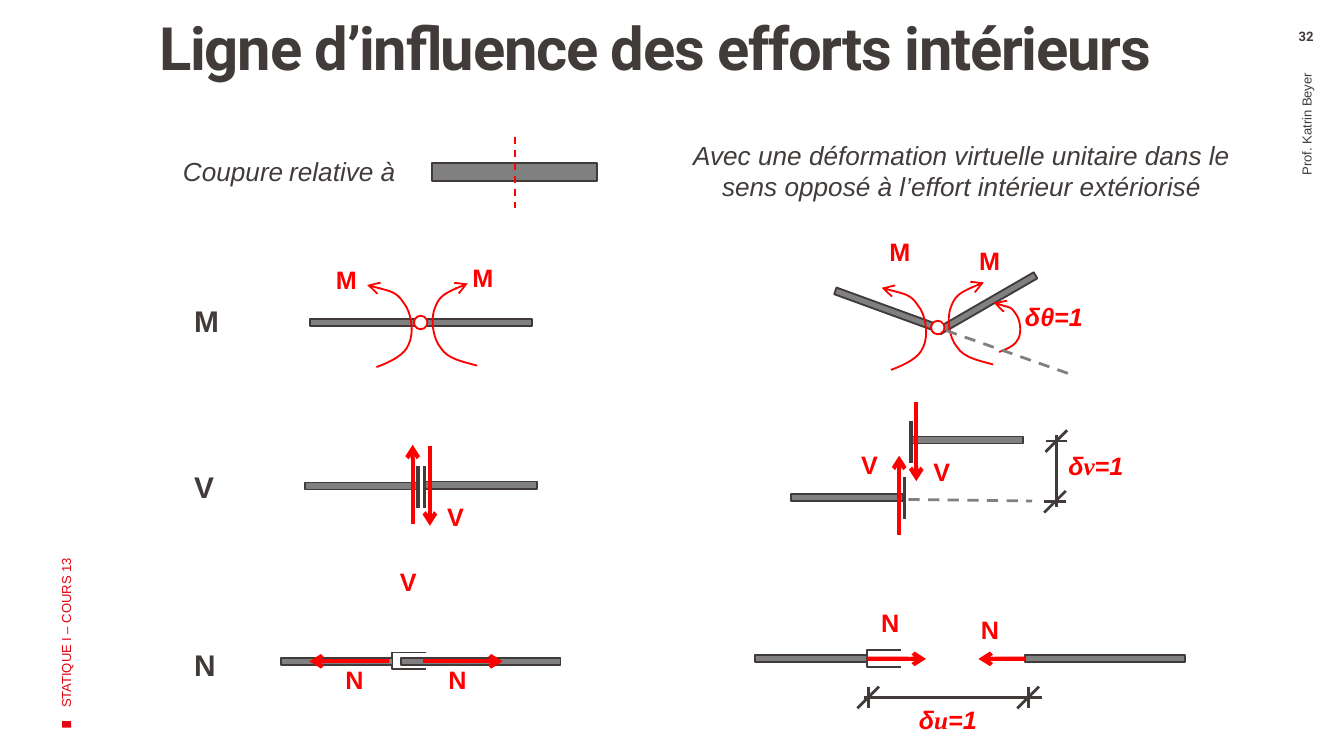
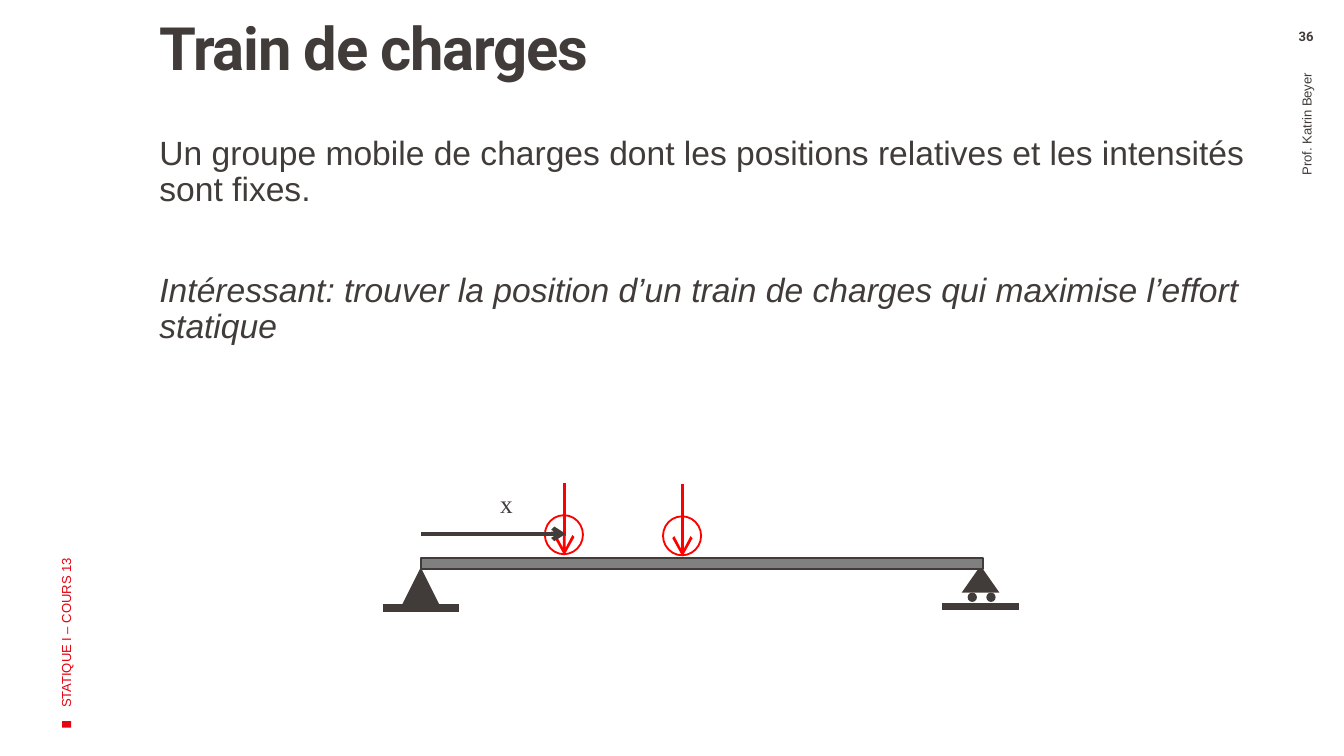
"""Build two statics slides: influence lines of internal forces and load trains."""
import dataclasses

import lxml.etree
import pptx
import pptx.dml.color
import pptx.enum.dml
import pptx.enum.shapes
import pptx.enum.text
import pptx.oxml.ns
import pptx.util

Pt = pptx.util.Pt
qn = pptx.oxml.ns.qn
SHAPE = pptx.enum.shapes.MSO_SHAPE
ALIGN = pptx.enum.text.PP_ALIGN
ANCHOR = pptx.enum.text.MSO_ANCHOR
FIT = pptx.enum.text.MSO_AUTO_SIZE


@dataclasses.dataclass(frozen=True)
class Theme:
    """Colours, fonts, type sizes and line widths shared by the slides."""
    ink: str = "413C3A"
    red: str = "FF0000"
    accent: str = "E30613"
    steel: str = "808080"
    white: str = "FFFFFF"
    body_font: str = "Arial"
    head_font: str = "Roboto"
    math_font: str = "Times New Roman"
    title: float = 32
    body: float = 18
    row: float = 16
    caption: float = 14
    gap: float = 11
    label: float = 13.5
    small: float = 7
    heavy: float = 2.25


THEME = Theme()
BAR = 59.8
THICK = 3.8
CURL = [(0, 0), (7.9, 2.2), (15.8, 3.6), (19.4, 9.4), (23.8, 14.4),
        (25.2, 25.9), (22.3, 31.7), (20.2, 37.4), (13, 41), (5, 44)]


def colour(code):
    """Return a colour object for a hex code."""
    return pptx.dml.color.RGBColor.from_string(code)


def assign(target, values):
    """Set each attribute named in values."""
    for name, value in values.items():
        setattr(target, name, value)


def bend(part):
    """Turn each three straight segments of a freeform into one cubic curve."""
    segments = list(part._element.iter(qn("a:lnTo")))
    outline = segments[0].getparent()
    for first in range(0, len(segments), 3):
        curve = lxml.etree.SubElement(outline, qn("a:cubicBezTo"))
        for segment in segments[first:first + 3]:
            curve.append(segment[0])
            outline.remove(segment)


@dataclasses.dataclass
class Box:
    """A region of a page that draws parts relative to its corner."""
    page: object
    left: float
    top: float

    def place(self, x, y):
        """Turn region points into slide lengths."""
        return Pt(self.left + x), Pt(self.top + y)

    def outline(self, part, code, width, arrow=None, dash=False):
        """Format the line of a shape or connector; arrow is the head size."""
        part.line.color.rgb = colour(code)
        part.line.width = Pt(width)
        if dash:
            part.line.dash_style = pptx.enum.dml.MSO_LINE.DASH
        if arrow:
            lxml.etree.SubElement(part.line._get_or_add_ln(), qn("a:tailEnd"),
                                  type="arrow", w=arrow, len=arrow)

    def shape(self, kind, x, y, width, height, fill=None, line=None, turn=0):
        """Add a preset shape."""
        part = self.page.shapes.add_shape(kind, *self.place(x, y), Pt(width), Pt(height))
        part.shadow.inherit = False
        part.rotation = turn
        if fill:
            part.fill.solid()
            part.fill.fore_color.rgb = colour(fill)
        else:
            part.fill.background()
        if line:
            self.outline(part, line, 1)
        else:
            part.line.fill.background()
        return part

    def bar(self, x, y, width=BAR, height=THICK, turn=0):
        """Add a grey beam piece."""
        return self.shape(SHAPE.RECTANGLE, x, y, width, height, THEME.steel, THEME.ink, turn)

    def hinge(self, x, y):
        """Add a hinge circle."""
        self.shape(SHAPE.OVAL, x, y, 7.2, 7.2, THEME.white, THEME.red)

    def line(self, start, end, code=THEME.ink, width=1.5, arrow=None, dash=False, joint=None):
        """Add a straight line, optionally joined to a shape at its start."""
        part = self.page.shapes.add_connector(
            pptx.enum.shapes.MSO_CONNECTOR.STRAIGHT, *self.place(*start), *self.place(*end))
        if joint:
            part.begin_connect(*joint)
        self.outline(part, code, width, arrow, dash)
        lxml.etree.SubElement(part._element.spPr, qn("a:effectLst"))

    def force(self, start, end, width=THEME.heavy, arrow="med", joint=None):
        """Add a red force arrow."""
        self.line(start, end, THEME.red, width, arrow, joint=joint)

    def stroke(self, points, code, arrow=None):
        """Add an open freeform through the points."""
        corners = [self.place(*point) for point in points]
        builder = self.page.shapes.build_freeform(*corners[0])
        builder.add_line_segments(corners[1:], close=False)
        part = builder.convert_to_shape()
        part.shadow.inherit = False
        part.fill.background()
        self.outline(part, code, 1, arrow)
        return part

    def curl(self, x, y, scale=1, turned=False):
        """Add a curved moment arrow with its tip at the top."""
        points = [(23.8 - a, 44 - b) for a, b in CURL] if turned else CURL[::-1]
        bend(self.stroke([(x + a * scale, y + b * scale) for a, b in points], THEME.red, "med"))

    def clamp(self, x, y):
        """Add the open sleeve of a sliding joint."""
        self.stroke([(x + 18.2, y), (x, y), (x, y + 9), (x + 18.2, y + 9)], THEME.ink)

    def tick(self, x, y, reach=(5.8, 0)):
        """Add the crossed end mark of a dimension line."""
        for dx, dy in (reach, (5.8, -5.8)):
            self.line((x - dx, y - dy), (x + dx, y + dy))

    def text(self, x, y, width, height, paragraphs, font, para_format=(), insets=(7.2, 3.6, 7.2, 3.6),
             turn=0, **frame_format):
        """Add a text box from paragraphs of (text, font changes) spans."""
        part = self.page.shapes.add_textbox(*self.place(x, y), Pt(width), Pt(height))
        part.rotation = turn
        frame = part.text_frame
        sides = ("margin_left", "margin_top", "margin_right", "margin_bottom")
        assign(frame, {"word_wrap": True, "auto_size": FIT.NONE, **frame_format})
        assign(frame, {side: Pt(inset) for side, inset in zip(sides, insets)})
        for index, spans in enumerate(paragraphs):
            para = frame.add_paragraph() if index else frame.paragraphs[0]
            assign(para, dict(para_format))
            if index:
                para.space_before = Pt(34.5)
            for words, changes in spans:
                span = para.add_run()
                span.text = words
                values = {"name": THEME.body_font, "code": THEME.ink, **font, **changes}
                span.font.color.rgb = colour(values.pop("code"))
                values["size"] = Pt(values["size"])
                assign(span.font, values)
        return frame

    def label(self, x, y, spans, width=28, font=None):
        """Add a short unwrapped label, red and bold by default."""
        if isinstance(spans, str):
            spans = [(spans, {})]
        font = font or {"size": THEME.label, "bold": True, "code": THEME.red}
        self.text(x, y, width, 28.8, [spans], font, word_wrap=False, auto_size=FIT.SHAPE_TO_FIT_TEXT)

    def unit(self, x, y, spans, width=51):
        """Add a unit displacement label."""
        self.label(x, y, [(words, {"italic": True, **more}) for words, more in spans], width)


def math_unit(letter):
    """Return the spans of a unit displacement with a serif letter."""
    return [("δ", {}), (letter, {"name": THEME.math_font}), ("=1", {})]


def frame_page(deck, title, number):
    """Add a page with title, side texts, marker and number."""
    page = deck.slides.add_slide(deck.slide_layouts[6])
    box = Box(page, 0, 0)
    small = {"size": THEME.small}
    box.shape(SHAPE.RECTANGLE, 33.3, 386.3, 4.8, 3.6, THEME.accent)
    heading = box.text(71, 10, 552.3, 84, [[(title, {})]],
                       {"name": THEME.head_font, "size": THEME.title, "bold": True},
                       {"line_spacing": 0.9}, (14.4, 0, 5.8, 3.6))
    heading.paragraphs[0].runs[0]._r.get_or_add_rPr().set("spc", "-70")
    box.text(-96.1, 218.9, 262.8, 72, [[("STATIQUE I – COURS 13", {})]], {**small, "code": THEME.accent},
             turn=270, vertical_anchor=ANCHOR.MIDDLE)
    box.text(560.6, 147.2, 278.6, 40.3, [[("Prof. Katrin Beyer", {})]], small, {"alignment": ALIGN.RIGHT},
             (7.2, 3.6, 11, 3.6), turn=270, vertical_anchor=ANCHOR.MIDDLE)
    box.text(679.6, 15, 40.3, 13, [[(number, {})]], {**small, "name": THEME.head_font, "bold": True},
             {"alignment": ALIGN.CENTER}, (7.2, 0, 7.2, 0))
    return page


def cut_header(box):
    """Draw the two column headings and the cut beam."""
    font = {"size": THEME.caption, "italic": True}
    box.bar(140.6, 16.1, 88.6, 9.4)
    box.line((185.1, 2.1), (185.1, 40.3), THEME.red, 1, dash=True)
    box.label(0.2, 8.6, [("Coupure", {}), (" ", {"size": THEME.gap}), ("relative à", {})], 129, font)
    sentence = "Avec une déformation virtuelle unitaire dans le sens opposé à l’effort intérieur extériorisé"
    box.text(269.3, -0.2, 310.3, 41, [[(sentence, {})]], font, {"alignment": ALIGN.CENTER},
             auto_size=FIT.SHAPE_TO_FIT_TEXT)


def row_names(box):
    """Name the three rows of diagrams."""
    for name, y in (("M", 0), ("V", 89.3), ("N", 184.3)):
        box.label(0, y, name, font={"size": THEME.row, "bold": True})


def moment_cut(box):
    """Draw the hinged beam with its moment pair."""
    box.bar(0.4, 34, 119)
    box.hinge(56.3, 32.4)
    box.curl(31.2, 15.9)
    box.label(7.3, 1.4, "M", 29.5)
    box.curl(66.3, 15.1, turned=True)
    box.label(80.5, 0, "M", 29.5)


def moment_opened(box):
    """Draw the hinge rotated by a unit angle."""
    box.bar(0.7, 41.2, turn=20)
    box.bar(54, 37.6, turn=330)
    box.hinge(53.8, 48.9)
    box.curl(87.3, 39.2, 0.6)
    box.curl(63.3, 28.3, turned=True)
    box.curl(27.3, 31.2)
    box.line((61.9, 54.1), (129.6, 77.9), THEME.steel, dash=True)
    box.label(24.4, 0, "M", 29.5)
    box.label(72.5, 5, "M", 29.5)
    box.unit(97, 34.7, [("δθ=1", {})])


def shear_pair(box, left_y, right_y, plates, arrows):
    """Draw two beam ends with plates and opposite shear arrows."""
    box.bar(0, left_y)
    box.bar(64.4, right_y)
    for x, y in zip((60.5, 64), plates):
        box.line((x, y), (x, y + 22.7), width=2)
    up, down = arrows
    box.force((57.7, up), (57.7, up - 42.5))
    box.force((66.9, down), (66.9, down + 42.5))


def shear_cut(box):
    """Draw the beam cut for shear."""
    shear_pair(box, 20.5, 20, (11.6, 11.6), (42.8, 1.2))
    box.label(69, 27, "V")
    box.label(43.8, 61.9, "V")


def shear_opened(box):
    """Draw the beam shifted by a unit step."""
    shear_pair(box, 49.7, 18.9, (40.6, 10.4), (71.6, 0.3))
    box.label(69, 26.2, "V")
    box.label(30.3, 22.4, "V")
    box.line((62.7, 52.6), (129, 53.4), THEME.steel, dash=True)
    box.line((142.1, 18.3), (142.1, 56.4))
    box.tick(141.2, 53.8)
    box.tick(141.9, 21.3)
    box.unit(141.2, 22.6, math_unit("v"))


def normal_cut(box):
    """Draw the beam cut for normal force."""
    box.bar(64.1, 4.1, 85.7)
    box.clamp(59.7, 1.2)
    box.bar(0, 4.1)
    box.force((76.3, 5.9), (118.8, 5.9))
    box.force((57.8, 5.9), (15.3, 5.9))
    for x in (82.7, 27.4):
        box.label(x, 4.1, "N")


def normal_opened(box):
    """Draw the beam opened by a unit gap."""
    right = box.bar(144.6, 29.2, 85.7)
    box.clamp(59.8, 26.5)
    left = box.bar(0, 29.2)
    box.force((59.8, 31.1), (91.5, 31.2), joint=(left, 3))
    box.force((144.6, 31.1), (119.6, 31.2), joint=(right, 1))
    box.label(113.8, 3.6, "N")
    box.label(60.4, 0.3, "N")
    box.line((58.4, 51.9), (153.4, 51.9))
    for x in (60.5, 146.2):
        box.tick(x, 51.9, (0, 5.8))
    box.unit(80.6, 51.9, math_unit("u"), 52.6)


def explanation(box):
    """Write the definition and the question."""
    definition = "Un groupe mobile de charges dont les positions relatives et les intensités sont fixes."
    question = "Intéressant: trouver la position d’un train de charges qui maximise l’effort statique"
    box.text(0, 0, 608.4, 266.4, [[(definition, {})], [(question, {"italic": True})]],
             {"size": THEME.body}, {"line_spacing": 0.9}, (14.4, 3.6, 7.2, 3.6))


def load_train(box):
    """Draw a simple beam under two moving loads."""
    for x, y, height, ground in ((0, 46, 20.2, 67.8), (299.9, 45.1, 14.4, 67)):
        box.shape(SHAPE.ISOSCELES_TRIANGLE, x + 10.3, y, 20.2, height, THEME.ink)
        box.line((x, ground), (x + 41, ground), width=4)
    for x in (313.4, 323.4):
        box.shape(SHAPE.OVAL, x, 59.5, 5, 5, THEME.ink)
    for x, y in ((97.3, 0.6), (160.6, 1.2)):
        box.force((x, y), (x, y + 38.9), 1.5, "lg")
        box.shape(SHAPE.OVAL, x - 10.4, y + 17.4, 20.4, 20.9, line=THEME.red)
    box.bar(20.7, 40.8, 301, 6)
    box.line((20.7, 28), (98.1, 28), width=THEME.heavy, arrow="med")
    box.label(55.9, 0.2, "x", 21.6, {"size": THEME.label, "name": THEME.math_font})


def main():
    """Build and save the deck."""
    deck = pptx.Presentation()
    assign(deck, {"slide_width": Pt(720), "slide_height": Pt(405)})
    lines = frame_page(deck, "Ligne d’influence des efforts intérieurs", "32")
    for draw, left, top in ((cut_header, 90.7, 71.3), (row_names, 96.9, 158.4),
                            (moment_cut, 165.5, 136.8), (moment_opened, 445, 123),
                            (shear_cut, 163.4, 238), (shear_opened, 424, 215),
                            (normal_cut, 150.5, 348.4), (normal_opened, 404.6, 321.8)):
        draw(Box(lines, left, top))
    train = frame_page(deck, "Train de charges", "36")
    explanation(Box(train, 71, 69.5))
    load_train(Box(train, 205, 258))
    deck.save("out.pptx")


if __name__ == "__main__":
    main()
